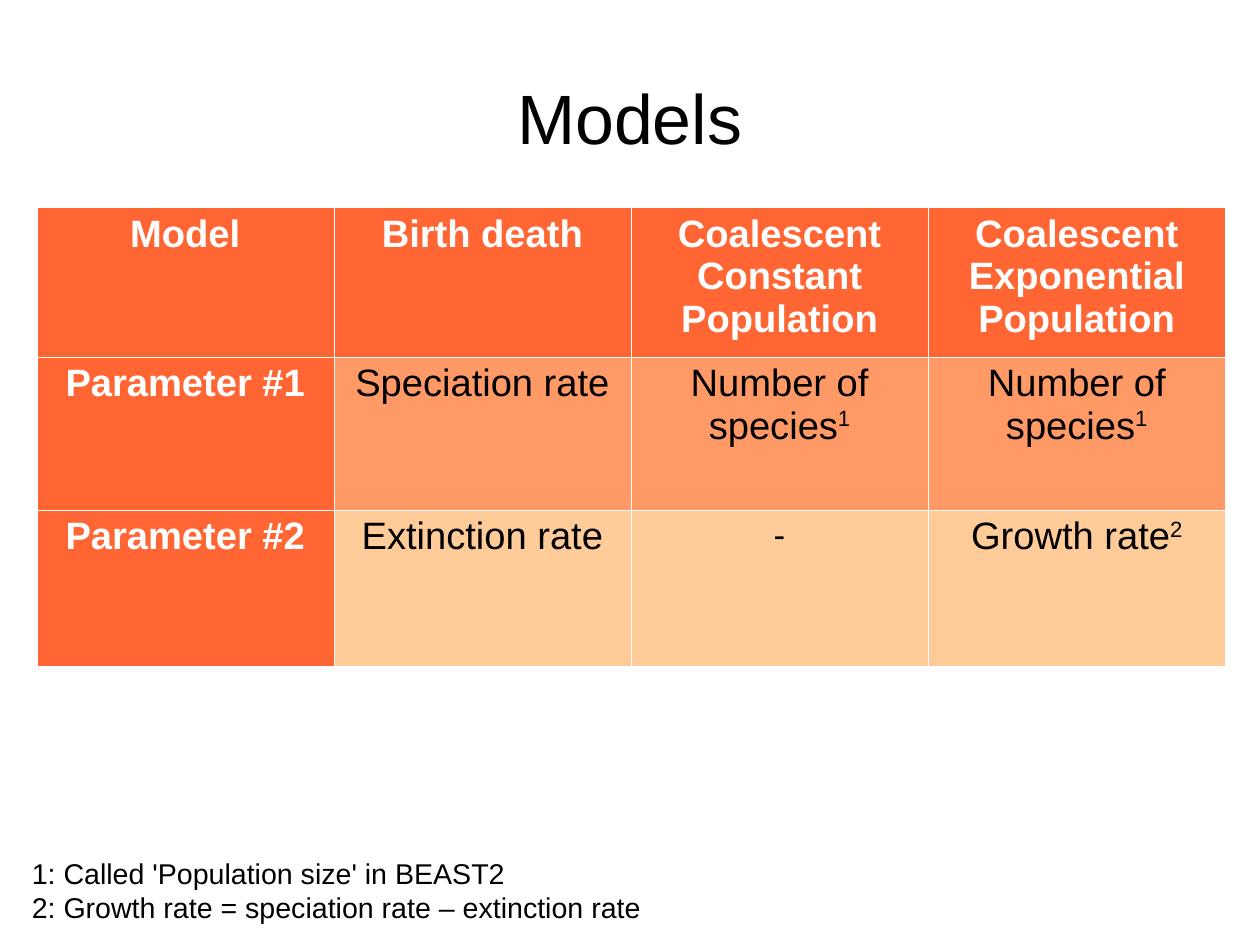
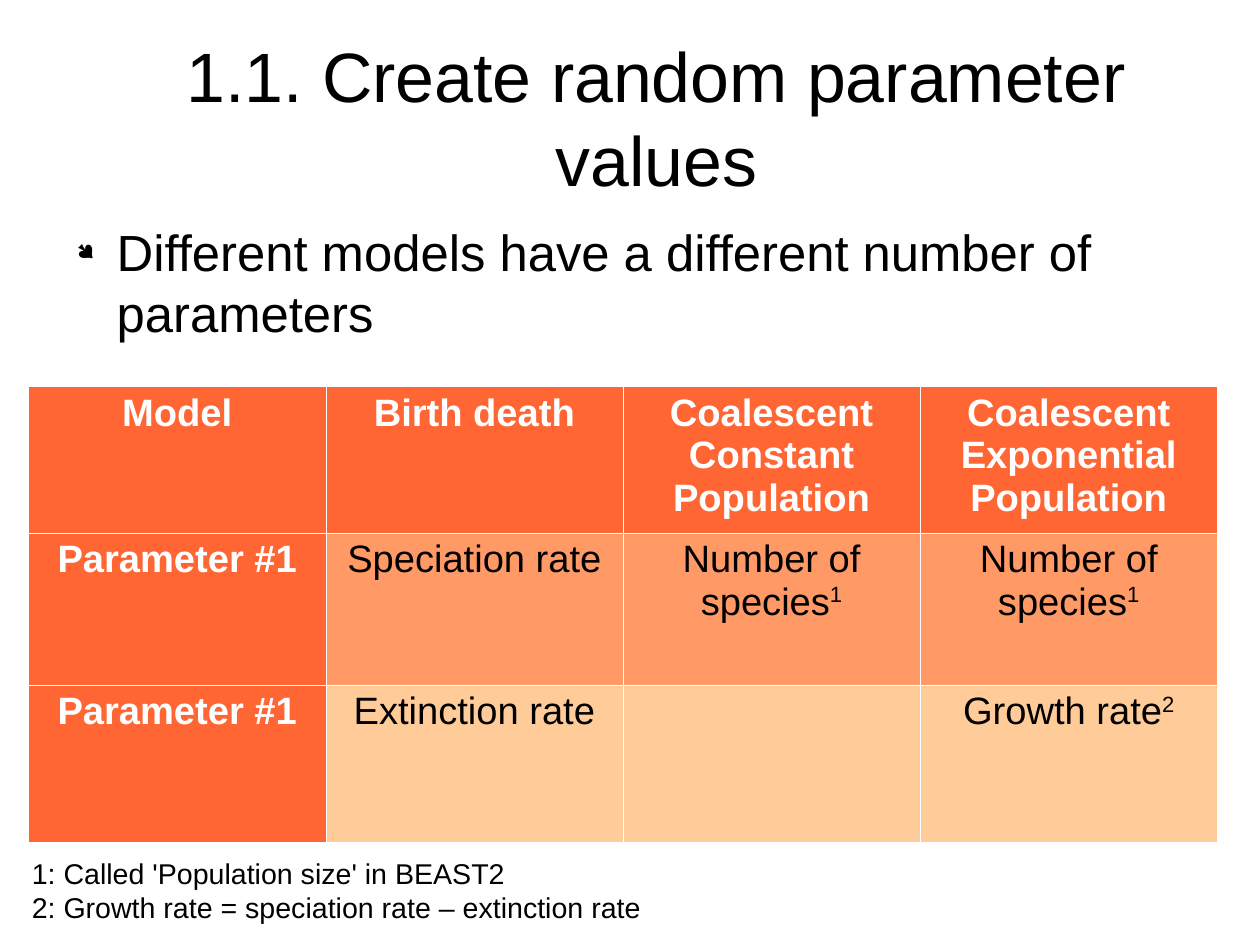
from lxml import etree
from pptx import Presentation
from pptx.dml.color import RGBColor
from pptx.enum import text
from pptx.oxml import ns
from pptx.util import Inches, Pt

COLORS = {"ink": "000000", "white": "FFFFFF", "head": "FF6633",
          "mid": "FF9966", "pale": "FFCC99"}
FONT = "Arial"
# The page is 28 by 21 cm
WIDTH, HEIGHT = 28 / 2.54, 21 / 2.54
TITLE_BOX = (0.55, 0.33, 9.92, 1.38)
NOTE_BOX = (0.18, 7.44, 5.53, 0.66)
NOTE_PAD = (0.1, 0.05, 0.1, 0.05)
CELL_PAD = (0.1, 0.05, 0.1, 0.03)
NOTES = ["1: Called 'Population size' in BEAST2",
         "2: Growth rate = speciation rate – extinction rate"]

# Cells hold (text, superscript) pairs where a footnote mark follows
HEAD = ["Model", "Birth death", "Coalescent Constant Population",
        "Coalescent Exponential Population"]
FIRST = ["Parameter #1", "Speciation rate", ("Number of species", "1"),
         ("Number of species", "1")]
GROWTH = ("Growth rate", "2")


def color(name):
    return RGBColor.from_string(COLORS[name])


def add(parent, tag, **attrs):
    return etree.SubElement(parent, ns.qn(tag), attrs)


def style(font, size, ink="ink", bold=False):
    for key, value in dict(name=FONT, size=Pt(size), bold=bold).items():
        setattr(font, key, value)
    font.color.rgb = color(ink)


def write(para, words, size, ink="ink", bold=False, mark=""):
    for part in filter(None, (words, mark)):
        run = para.add_run()
        run.text = part
        style(run.font, size, ink, bold)
    if mark:
        run.font._element.set("baseline", "33000")


def place(shape, box):
    for key, value in zip(("left", "top", "width", "height"), box):
        setattr(shape, key, Inches(value))


def pad(item, sides):
    for key, value in zip(("left", "top", "right", "bottom"), sides):
        setattr(item, "margin_" + key, Inches(value))


def add_title(slide, words, indent=0):
    shape = slide.shapes.title
    place(shape, TITLE_BOX)
    frame = shape.text_frame
    pad(frame, (0, 0, 0, 0))
    look = dict(word_wrap=True, auto_size=text.MSO_AUTO_SIZE.NONE,
                vertical_anchor=text.MSO_ANCHOR.MIDDLE)
    for key, value in look.items():
        setattr(frame, key, value)
    para = frame.paragraphs[0]
    para.alignment = text.PP_ALIGN.CENTER
    if indent:
        props = para._p.get_or_add_pPr()
        props.set("marL", str(Inches(indent)))
        props.set("indent", "0")
    write(para, words, 44)


def add_bullet(slide, box, words):
    frame = slide.shapes.add_textbox(*map(Inches, box)).text_frame
    frame.word_wrap = True
    pad(frame, (0, 0, 0, 0))
    para = frame.paragraphs[0]
    para.space_after = Pt(14.2)
    props = para._p.get_or_add_pPr()
    props.set("marL", str(Inches(0.47)))
    props.set("indent", str(Inches(-0.35)))
    add(add(props, "a:buClr"), "a:srgbClr", val=COLORS["ink"])
    add(props, "a:buSzPct", val="45000")
    add(props, "a:buFont", typeface="Wingdings", charset="2")
    add(props, "a:buChar", char="●")
    write(para, words, 32)


def add_notes(slide):
    frame = slide.shapes.add_textbox(*map(Inches, NOTE_BOX)).text_frame
    frame.word_wrap = False
    pad(frame, NOTE_PAD)
    for i, line in enumerate(NOTES):
        para = frame.add_paragraph() if i else frame.paragraphs[0]
        write(para, line, 18)


def fill_cell(cell, item, size, fill, ink, bold):
    pad(cell, CELL_PAD)
    # Borders come before the fill in the cell properties
    props = cell._tc.get_or_add_tcPr()
    for side in "LRTB":
        line = add(props, "a:ln" + side, w="762")
        add(add(line, "a:solidFill"), "a:srgbClr", val=COLORS["white"])
    cell.fill.solid()
    cell.fill.fore_color.rgb = color(fill)
    words, mark = item if isinstance(item, tuple) else (item, "")
    para = cell.text_frame.paragraphs[0]
    para.alignment = text.PP_ALIGN.CENTER
    write(para, words, size, ink, bold, mark)


def add_models(slide, left, top, heights, last):
    rows = [HEAD, FIRST, last]
    box = (left, top, 10.4, sum(heights))
    table = slide.shapes.add_table(len(rows), len(HEAD),
                                   *map(Inches, box)).table
    table.first_row = table.horz_banding = False
    for col in table.columns:
        col.width = Inches(2.6)
    for r, (items, fill) in enumerate(zip(rows, ("head", "mid", "pale"))):
        table.rows[r].height = Inches(heights[r])
        for c, item in enumerate(items):
            label = r == 0 or c == 0
            fill_cell(table.cell(r, c), item, 22 if item == "-" else 24,
                      "head" if label else fill,
                      "white" if label else "ink", label)


def models_slide(deck):
    slide = deck.slides.add_slide(deck.slide_layouts[5])
    add_title(slide, "Models")
    add_models(slide, 0.32, 1.81, (1.31, 1.34, 1.37),
               ["Parameter #2", "Extinction rate", "-", GROWTH])
    add_notes(slide)


def values_slide(deck):
    slide = deck.slides.add_slide(deck.slide_layouts[5])
    add_title(slide, "1.1. Create random parameter values", 0.47)
    add_bullet(slide, (0.55, 1.93, 9.92, 4.79),
               "Different models have a different number of parameters")
    add_models(slide, 0.25, 3.38, (1.26, 1.33, 1.38),
               ["Parameter #1", "Extinction rate", "", GROWTH])
    add_notes(slide)


def main():
    deck = Presentation()
    deck.slide_width = Inches(WIDTH)
    deck.slide_height = Inches(HEIGHT)
    models_slide(deck)
    values_slide(deck)
    deck.save("out.pptx")


if __name__ == "__main__":
    main()
